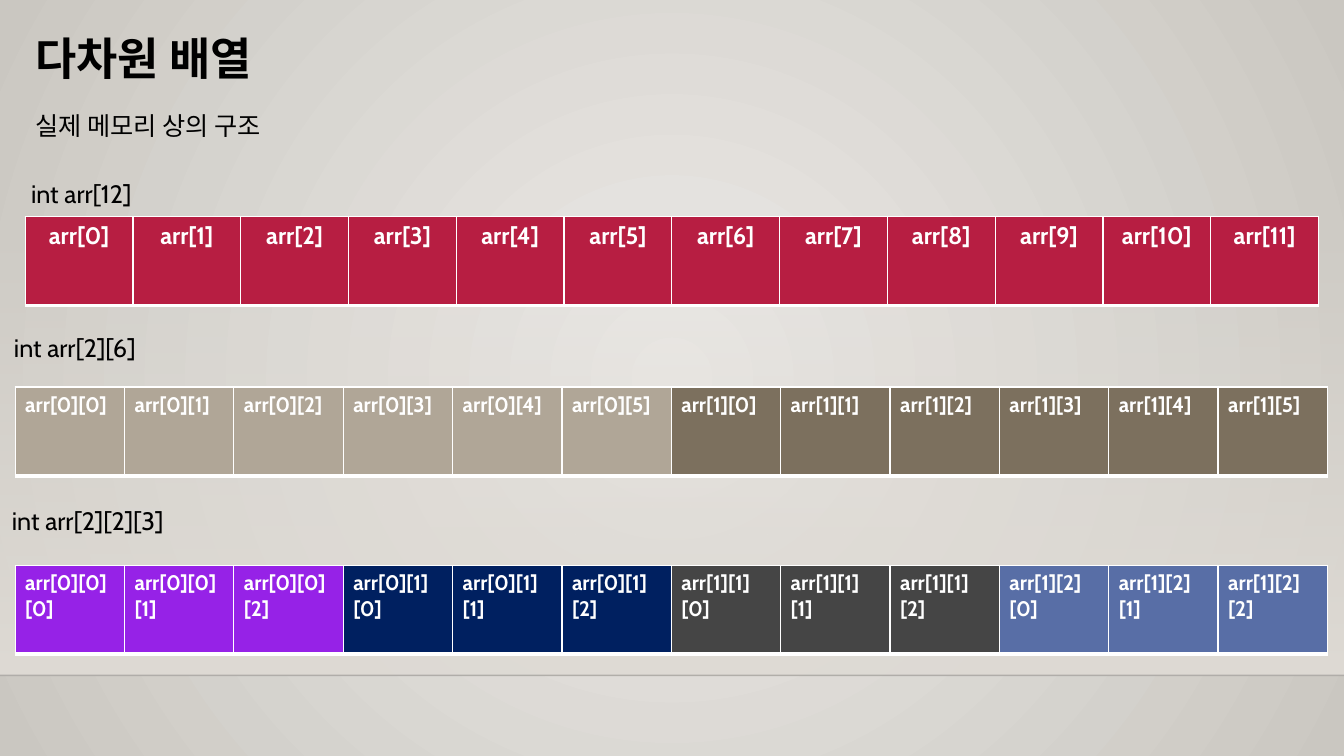
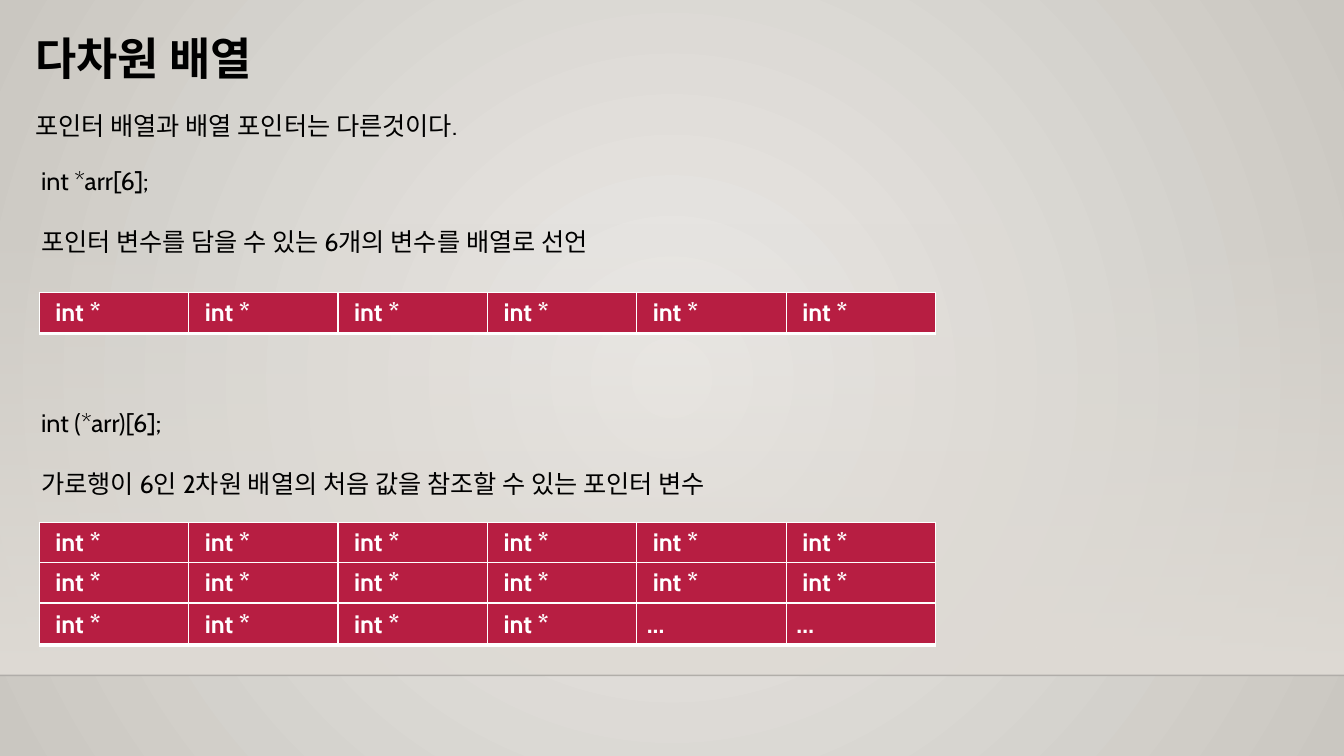
"""Build two slides on how multidimensional arrays and array pointers are laid out."""
from dataclasses import dataclass

from lxml.etree import SubElement
from pptx import Presentation
from pptx.dml.color import RGBColor
from pptx.enum.shapes import MSO_CONNECTOR, MSO_SHAPE
from pptx.enum.text import MSO_ANCHOR, MSO_AUTO_SIZE, PP_ALIGN
from pptx.oxml.ns import qn
from pptx.util import Inches, Pt


@dataclass(frozen=True)
class Theme:
    font: str = "Cabin"
    ink: str = "000000"
    white: str = "FFFFFF"
    rule: str = "000001"
    band: str = "DFDBD5"
    background: tuple = ("ECEAE7", "CAC7C1")
    crimson: str = "B71E42"
    halves: tuple = ("B0A697", "7C705E")
    quarters: tuple = ("9622E7", "002060", "454545", "586EA6")
    title_size: int = 32
    body_size: int = 18
    index_size: int = 17
    small_size: int = 15


THEME = Theme()
SLIDE_WIDTH, SLIDE_HEIGHT = 13.33, 7.5
BAND_TOP, BAND_BOTTOM = 2.21, 6.7
TITLE_BOX = (0.25, 0.25, 10.41, 0.64)
BODY_BOX = (0.25, 1.04, 10.41, 0.4)
CELL_MARGIN = 0.1
BORDERS = {"a:lnL": 1, "a:lnR": 1, "a:lnT": 1, "a:lnB": 3}

TITLE = "다차원 배열"
MEMORY_BODY = "실제 메모리 상의 구조"
POINTER_BODY = "포인터 배열과 배열 포인터는 다른것이다."
QUARTER_INDEXES = ((0, 0), (0, 1), (1, 1), (1, 2))

FLAT_CELLS = [(f"arr[{i}]", THEME.crimson) for i in range(12)]
HALF_CELLS = [(f"arr[{i}][{j}]", THEME.halves[i]) for i in range(2) for j in range(6)]
QUARTER_CELLS = [
    (f"arr[{i}][{j}] [{k}]", color)
    for (i, j), color in zip(QUARTER_INDEXES, THEME.quarters)
    for k in range(3)
]
MEMORY_LABELS = [
    ("int arr[12]", 0.21, 1.72),
    ("int arr[2][6]", 0.04, 3.25),
    ("int arr[2][2][3]", 0.02, 4.96),
]
MEMORY_TABLES = [
    (FLAT_CELLS, (0.25, 2.15, 12.83, 0.88), THEME.index_size, PP_ALIGN.CENTER),
    (HALF_CELLS, (0.15, 3.84, 13.02, 0.88), THEME.small_size, PP_ALIGN.LEFT),
    (QUARTER_CELLS, (0.15, 5.61, 13.02, 0.88), THEME.small_size, PP_ALIGN.LEFT),
]

POINTER_NOTES = [
    (1.59, ["int *arr[6];", "포인터 변수를 담을 수 있는 6개의 변수를 배열로 선언"]),
    (3.99, ["int (*arr)[6];", "가로행이 6인 2차원 배열의 처음 값을 참조할 수 있는 포인터 변수"]),
]
POINTER_ROW = ["int *"] * 6
POINTER_TABLES = [
    (2.9, POINTER_ROW),
    (5.18, POINTER_ROW),
    (5.58, POINTER_ROW),
    (5.99, POINTER_ROW[:4] + ["...", "…"]),
]
POINTER_MARGIN = 0.16


def apply(target, values):
    for name, value in values.items():
        setattr(target, name, value)


def place(shape, box):
    apply(shape, dict(zip(("left", "top", "width", "height"), map(Inches, box))))


def set_alpha(element, percent):
    color = next(element.iter(qn("a:srgbClr")))
    SubElement(color, qn("a:alpha"), val=str(percent * 1000))


def set_gradient(fill, colors):
    fill.gradient()
    for stop, color in zip(fill.gradient_stops, colors):
        stop.color.rgb = RGBColor.from_string(color)


def write(frame, lines, size=THEME.body_size, color=THEME.ink, bold=False,
          alignment=PP_ALIGN.LEFT, gap=0):
    frame.text = "\n".join(lines)
    for index, paragraph in enumerate(frame.paragraphs):
        apply(paragraph, {"alignment": alignment, "space_before": Pt(gap if index else 0)})
        for run in paragraph.runs:
            apply(run.font, {"name": THEME.font, "size": Pt(size), "bold": bold})
            run.font.color.rgb = RGBColor.from_string(color)


def set_frame(frame):
    apply(frame, {"word_wrap": True, "auto_size": MSO_AUTO_SIZE.NONE,
                  "vertical_anchor": MSO_ANCHOR.TOP})


def add_text(slide, lines, box, gap=0):
    frame = slide.shapes.add_textbox(*map(Inches, box)).text_frame
    set_frame(frame)
    write(frame, lines, gap=gap)


def add_row(slide, cells, box, size, alignment=PP_ALIGN.LEFT, margin=CELL_MARGIN):
    table = slide.shapes.add_table(1, len(cells), *map(Inches, box)).table
    apply(table, {"first_row": False, "horz_banding": False})
    for column, cell, (text, color) in zip(table.columns, table.rows[0].cells, cells):
        column.width = Inches(box[2] / len(cells))
        properties = cell._tc.get_or_add_tcPr()
        for tag, width in BORDERS.items():
            line = SubElement(properties, qn(tag), w=str(Pt(width)))
            SubElement(SubElement(line, qn("a:solidFill")), qn("a:srgbClr"), val=THEME.white)
        cell.fill.solid()
        cell.fill.fore_color.rgb = RGBColor.from_string(color)
        cell.margin_left = Inches(margin if text.startswith("int") else CELL_MARGIN)
        write(cell.text_frame, [text], size, THEME.white, True, alignment)


def prepare_layout(layout):
    set_gradient(layout.background.fill, THEME.background)
    gradient = next(layout._element.iter(qn("a:gradFill")))
    gradient.remove(gradient.find(qn("a:lin")))
    center = SubElement(gradient, qn("a:path"), path="circle")
    SubElement(center, qn("a:fillToRect"), dict.fromkeys("ltrb", "50000"))
    boxes = {0: TITLE_BOX, 1: BODY_BOX}
    for placeholder in list(layout.placeholders):
        index = placeholder.placeholder_format.idx
        if index in boxes:
            place(placeholder, boxes[index])
        else:
            placeholder._element.getparent().remove(placeholder._element)


def add_layout_band(slide):
    band = slide.shapes.add_shape(MSO_SHAPE.RECTANGLE, 0, Inches(BAND_TOP), Inches(SLIDE_WIDTH),
                                  Inches(BAND_BOTTOM - BAND_TOP))
    band.shadow.inherit = False
    band.line.fill.background()
    set_gradient(band.fill, (THEME.band, THEME.band))
    band.fill.gradient_angle = 270
    set_alpha(band._element, 0)

    rule = slide.shapes.add_connector(MSO_CONNECTOR.STRAIGHT, 0, Inches(BAND_BOTTOM),
                                      Inches(SLIDE_WIDTH), Inches(BAND_BOTTOM))
    rule.line.width = Pt(1)
    rule.line.color.rgb = RGBColor.from_string(THEME.rule)
    set_alpha(rule._element, 20)
    SubElement(rule._element.spPr, qn("a:effectLst"))

    for offset, shape in enumerate((band, rule)):
        shape._element._nvXxPr.cNvPr.set("id", str(20 + offset))
        slide.slide_layout.shapes._spTree.insert(2 + offset, shape._element)


def add_slide(presentation, layout, body_text):
    slide = presentation.slides.add_slide(layout)
    body = slide.placeholders[1].text_frame
    for frame in (slide.shapes.title.text_frame, body):
        set_frame(frame)
    write(slide.shapes.title.text_frame, [TITLE], THEME.title_size, bold=True)
    write(body, [body_text])
    properties = body.paragraphs[0]._p.get_or_add_pPr()
    for name in ("marL", "indent"):
        properties.set(name, "0")
    SubElement(properties, qn("a:buNone"))
    return slide


def main():
    presentation = Presentation()
    apply(presentation, {"slide_width": Inches(SLIDE_WIDTH), "slide_height": Inches(SLIDE_HEIGHT)})
    layout = presentation.slide_layouts[1]
    prepare_layout(layout)

    memory = add_slide(presentation, layout, MEMORY_BODY)
    add_layout_band(memory)
    for text, left, top in MEMORY_LABELS:
        add_text(memory, [text], (left, top, 2.5, 0.4))
    for cells, box, size, alignment in MEMORY_TABLES:
        add_row(memory, cells, box, size, alignment)

    pointers = add_slide(presentation, layout, POINTER_BODY)
    for top, lines in POINTER_NOTES:
        add_text(pointers, lines, (0.31, top, 8.5, 1), gap=22)
    for top, texts in POINTER_TABLES:
        cells = [(text, THEME.crimson) for text in texts]
        add_row(pointers, cells, (0.39, top, 8.89, 0.41), THEME.body_size, margin=POINTER_MARGIN)

    presentation.save("out.pptx")


if __name__ == "__main__":
    main()
